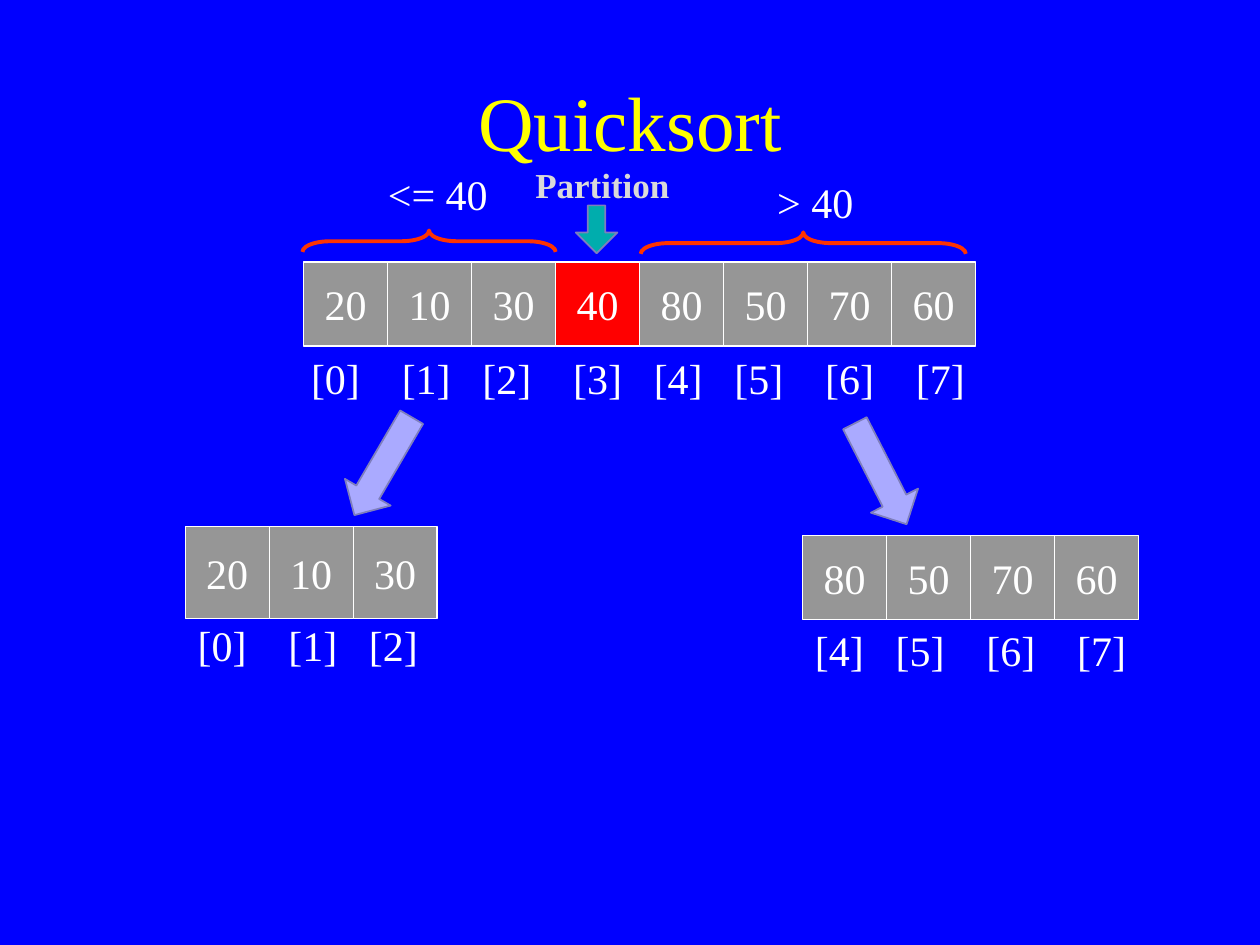
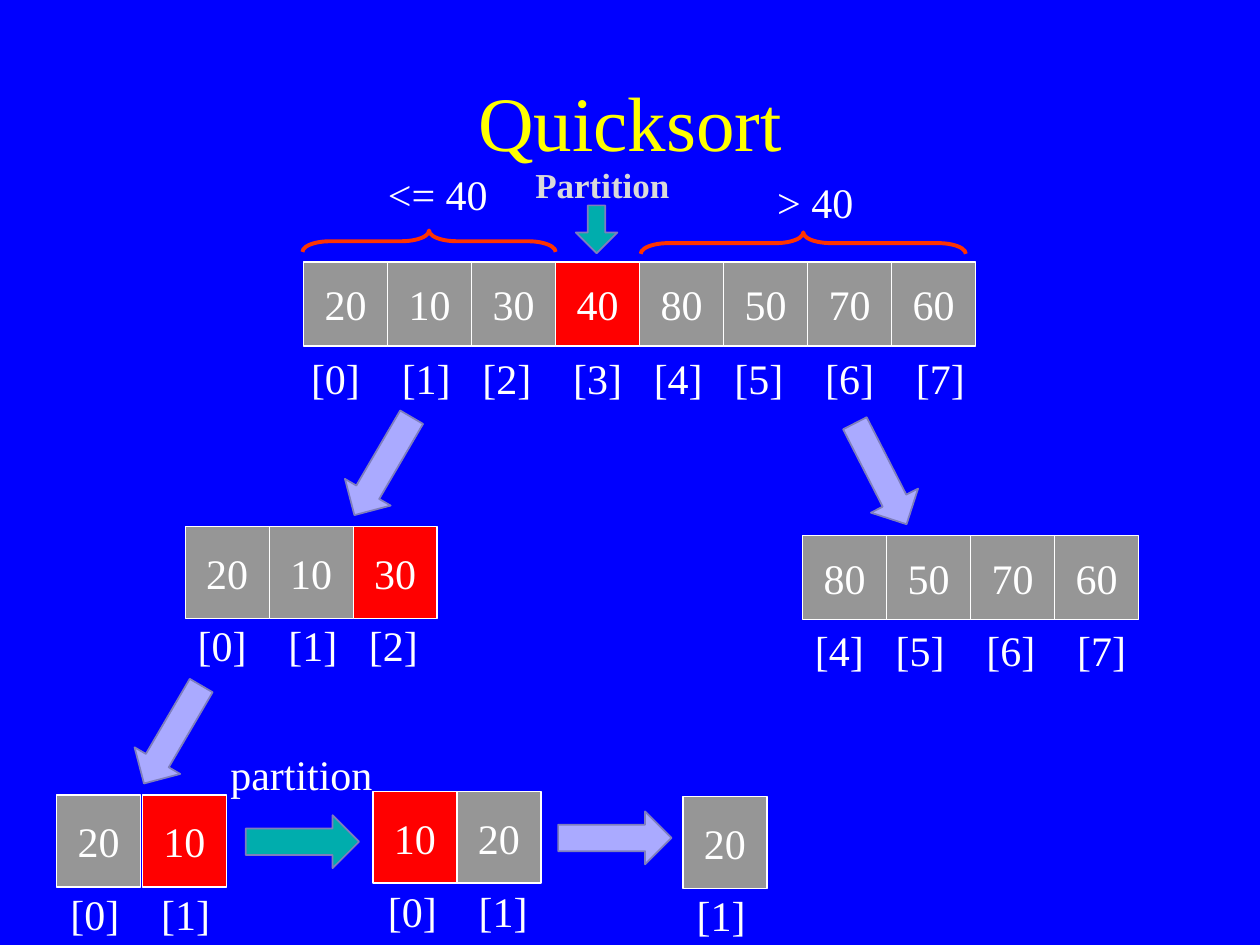
"""Build two slides that trace the steps of Quicksort."""
from dataclasses import dataclass, replace
from itertools import accumulate

from lxml import etree
from pptx import Presentation
from pptx import util as u
from pptx.dml.color import RGBColor
from pptx.enum import shapes, text
from pptx.oxml import ns

COLORS = {
    "page": "0000FF", "title": "FFFF00", "text": "FFFFFF", "caption": "D9D9D9",
    "cell": "969696", "pivot": "FF0000", "brace": "FF3300",
    "descend": "AAAAFF", "partition": "00ADAD", "edge": "7E7EBD",
}
FONT = "Times New Roman"
CELL = 2 / 3
INSET = 0.1
INDEX_WIDTH = 0.39
WIDE_STEP, NARROW_STEP = 0.72, 0.64
WIDE_AFTER = {0, 2, 5, 6}


@dataclass(frozen=True)
class Row:
    """A run of array cells with its index labels."""
    left: float
    top: float
    values: tuple[int, ...]
    label_left: float
    label_top: float
    first: int = 0
    pivot: int | None = None
    height: float = CELL
    pitch: float = CELL


@dataclass(frozen=True)
class Arrow:
    """A block arrow, pointing down before it is turned."""
    left: float
    top: float
    angle: float = 0
    color: str = "descend"
    width: float = 0.42
    height: float = 0.9
    adjust: tuple[float, ...] = ()


@dataclass(frozen=True)
class Brace:
    """A curly brace turned to span cells from above."""
    left: float
    top: float
    height: float


@dataclass(frozen=True)
class Caption:
    """A short line of free text."""
    words: str
    left: float
    top: float
    width: float
    size: float = 24
    bold: bool = False
    color: str = "text"


FULL = Row(2.41, 2.08, (20, 10, 30, 40, 80, 50, 70, 60), 2.37, 2.75, pivot=3)
LOWER = Row(1.47, 4.18, (20, 10, 30), 1.47, 4.87, height=0.73)
UPPER = Row(6.37, 4.25, (80, 50, 70, 60), 6.37, 4.91, first=4)
SHARED = (
    FULL, UPPER,
    Brace(3.32, 0.91, 2.01), Brace(6.29, 0.64, 2.58),
    Caption("<= 40", 2.98, 1.29, 1.09), Caption("> 40", 6.07, 1.35, 0.9),
    Arrow(2.83, 3.25, 30.3), Arrow(6.78, 3.31, 332.9),
    Arrow(4.57, 1.63, color="partition", width=0.33, height=0.38, adjust=(0.42, 0.5)),
    Caption("Partition", 4.15, 1.25, 1.33, 20, True, "caption"),
)
SPLIT = (LOWER,)
RECURSION = (
    replace(LOWER, pivot=2),
    Arrow(1.16, 5.38, 30.3),
    Row(0.45, 6.31, (20, 10), 0.46, 7, pivot=1, height=0.73, pitch=0.68),
    Arrow(2.19, 6.23, 270, "partition"),
    Caption("partition", 1.73, 5.89, 1.4),
    Row(2.96, 6.28, (10, 20), 2.98, 6.98, pivot=0, height=0.73),
    Arrow(4.67, 6.2, 270),
    Row(5.42, 6.32, (20,), 5.43, 7.01, first=1, height=0.73),
)


def rgb(name: str) -> RGBColor:
    """Look up a colour by its role."""
    return RGBColor.from_string(COLORS[name])


def write(frame, words: str, *, size: float = 24, color: str = "text",
          bold: bool = False, align=text.PP_ALIGN.LEFT,
          anchor=text.MSO_ANCHOR.TOP, wrap: bool = True):
    """Put one formatted line in a text frame and return its paragraph."""
    frame.word_wrap = wrap
    frame.vertical_anchor = anchor
    para = frame.paragraphs[0]
    para.alignment = align
    span = para.add_run()
    span.text = words
    span.font.name, span.font.size, span.font.bold = FONT, u.Pt(size), bold
    span.font.color.rgb = rgb(color)
    return para


def add_text(page, words: str, left: float, top: float, width: float, **style):
    """Add a text box holding one line."""
    box = page.shapes.add_textbox(*map(u.Inches, (left, top, width, 0.5)))
    return write(box.text_frame, words, **style)


def add_preset(page, kind, left: float, top: float, width: float, height: float, *,
               line: str, weight: float, fill: str | None = None,
               angle: float = 0, adjust: tuple[float, ...] = ()):
    """Add a flat preset shape."""
    shape = page.shapes.add_shape(kind, *map(u.Inches, (left, top, width, height)))
    shape.shadow.inherit = False
    shape.rotation = angle
    if fill:
        shape.fill.solid()
        shape.fill.fore_color.rgb = rgb(fill)
    else:
        shape.fill.background()
    shape.line.color.rgb = rgb(line)
    shape.line.width = u.Pt(weight)
    for place, value in enumerate(adjust):
        shape.adjustments[place] = value
    return shape


def set_tabs(para, stops: list[float]) -> None:
    """Give a paragraph left tab stops, in inches."""
    tabs = etree.SubElement(para._p.get_or_add_pPr(), ns.qn("a:tabLst"))
    for stop in stops:
        etree.SubElement(tabs, ns.qn("a:tab"), pos=str(u.Inches(stop)), algn="l")


def draw_row(page, row: Row) -> None:
    """Draw the cells of a row and the indices below them."""
    for place, value in enumerate(row.values):
        cell = add_preset(page, shapes.MSO_SHAPE.RECTANGLE,
                          row.left + place * row.pitch, row.top, CELL, row.height,
                          fill="pivot" if place == row.pivot else "cell",
                          line="text", weight=0.75)
        write(cell.text_frame, str(value), align=text.PP_ALIGN.CENTER,
              anchor=text.MSO_ANCHOR.MIDDLE, wrap=False)
    indices = range(row.first, row.first + len(row.values))
    stops = list(accumulate(
        (WIDE_STEP if index in WIDE_AFTER else NARROW_STEP for index in indices[:-1]),
        initial=0))
    width = stops[-1] + INDEX_WIDTH + 3 * INSET
    para = add_text(page, "\t".join(f"[{index}]" for index in indices),
                    row.label_left, row.label_top, width)
    if stops[1:]:
        set_tabs(para, stops[1:])


def draw_arrow(page, arrow: Arrow) -> None:
    """Draw a block arrow."""
    add_preset(page, shapes.MSO_SHAPE.DOWN_ARROW, arrow.left, arrow.top,
               arrow.width, arrow.height, fill=arrow.color, line="edge", weight=1,
               angle=arrow.angle, adjust=arrow.adjust)


def draw_brace(page, brace: Brace) -> None:
    """Draw a brace that points up."""
    add_preset(page, shapes.MSO_SHAPE.LEFT_BRACE, brace.left, brace.top, 0.17,
               brace.height, line="brace", weight=2.25, angle=90, adjust=(1.29, 0.5))


def draw_caption(page, caption: Caption) -> None:
    """Draw a caption."""
    add_text(page, caption.words, caption.left, caption.top, caption.width,
             size=caption.size, bold=caption.bold, color=caption.color)


DRAW = {Row: draw_row, Arrow: draw_arrow, Brace: draw_brace, Caption: draw_caption}


def add_page(deck, parts: tuple) -> None:
    """Add a titled slide and draw its parts."""
    page = deck.slides.add_slide(deck.slide_layouts.get_by_name("Title Only"))
    title = page.shapes.title
    title.left, title.top, title.width, title.height = map(
        u.Inches, (0.75, 0.33, 8.5, 1.25))
    write(title.text_frame, "Quicksort", size=44, color="title",
          align=text.PP_ALIGN.CENTER, anchor=text.MSO_ANCHOR.MIDDLE)
    for part in parts:
        DRAW[type(part)](page, part)


def main() -> None:
    """Build and save the deck."""
    deck = Presentation()
    deck.slide_width, deck.slide_height = u.Inches(10), u.Inches(7.5)
    backdrop = deck.slide_master.background.fill
    backdrop.solid()
    backdrop.fore_color.rgb = rgb("page")
    for steps in (SPLIT, RECURSION):
        add_page(deck, SHARED + steps)
    deck.save("out.pptx")


main()
